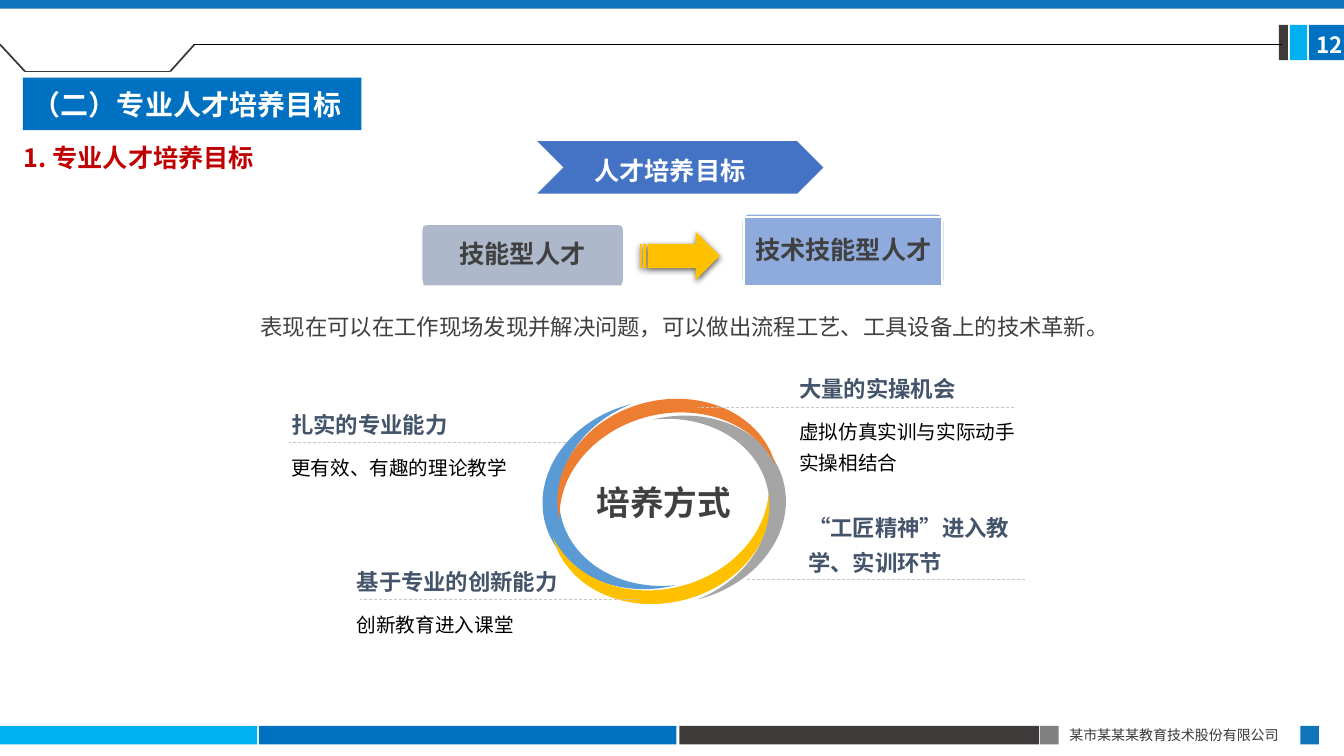
from lxml import etree
from pptx import Presentation
from pptx.dml.color import RGBColor
from pptx.enum import dml, shapes, text
from pptx.oxml import ns
from pptx.util import Cm, Pt

HUES = {
    "sky": "00B0F0", "blue": "0070C0", "steel": "1074BB", "dark": "3E3A39",
    "gray": "808080", "white": "FFFFFF", "black": "000000", "text": "404040",
    "slate": "ADB9CA", "pale": "8FAADC", "royal": "4472C4", "gold": "FFC000",
    "azure": "5B9BD5", "silver": "A5A5A5", "orange": "ED7D31",
    "dash": "C5C5C5", "navy": "44546A", "red": "C00000",
}
SANS = "Noto Sans CJK SC"
KIND = shapes.MSO_SHAPE
MID = text.MSO_ANCHOR.MIDDLE
LOW = text.MSO_ANCHOR.BOTTOM
CENTER = text.PP_ALIGN.CENTER

deck = Presentation()
deck.slide_width, deck.slide_height = Cm(33.87), Cm(19.05)
slide = deck.slides.add_slide(deck.slide_layouts[6])


def draw(kind, box, hue, edge=None):
    """Add a filled preset shape; box is left, top, width, height in cm."""
    item = slide.shapes.add_shape(kind, *map(Cm, box))
    item.shadow.inherit = False
    item.fill.solid()
    item.fill.fore_color.rgb = RGBColor.from_string(HUES[hue])
    if edge:
        item.line.color.rgb = RGBColor.from_string(HUES[edge])
        item.line.width = Pt(1.5)
    else:
        item.line.fill.background()
    return item


def write(words, size, hue, box=None, item=None, bold=False, face=SANS,
          align=text.PP_ALIGN.LEFT, anchor=text.MSO_ANCHOR.TOP, space=None):
    """Put one paragraph into item, or into a new text box."""
    item = item or slide.shapes.add_textbox(*map(Cm, box))
    frame = item.text_frame
    frame.word_wrap = True
    frame.vertical_anchor = anchor
    para = frame.paragraphs[0]
    para.text = words
    para.alignment = align
    para.line_spacing = space
    font = para.font
    font.name, font.size, font.bold = face, Pt(size), bold
    font.color.rgb = RGBColor.from_string(HUES[hue])
    props = para._p.pPr.find(ns.qn("a:defRPr"))
    etree.SubElement(props, ns.qn("a:ea"), typeface=SANS)
    return para


# Bars at the top, the foot and behind the page number
for left, top, width, height, hue in [
    (0, 18.29, 6.48, 0.47, "sky"),
    (6.53, 18.29, 10.52, 0.47, "blue"),
    (17.12, 18.29, 9.07, 0.47, "dark"),
    (26.21, 18.29, 0.47, 0.47, "gray"),
    (32.77, 18.29, 0.47, 0.47, "steel"),
    (32.99, 0.63, 0.88, 0.89, "blue"),
    (32.51, 0.63, 0.43, 0.89, "sky"),
    (32.23, 0.63, 0.23, 0.89, "dark"),
    (0, 0, 33.87, 0.22, "steel"),
]:
    draw(KIND.RECTANGLE, (left, top, width, height), hue)
write("某市某某某教育技术股份有限公司", 10, "dark", (26.7, 18.19, 6.1, 0.68))

# Lines: the header outline, then the dashed rules of the topics
dip = [(0, 1.12), (0.63, 1.8), (4.29, 1.8), (4.9, 1.12), (32.3, 1.12)]
rules = [(*a, *b, "dark", 1.25) for a, b in zip(dip[:3], dip[1:4])]
rules.append((*dip[3], *dip[4], "black", 0.5))
for start, end, top in [(14.27, 7.29, 11.15), (16.05, 9.07, 15.11),
                        (25.55, 17.6, 10.26), (25.83, 18.82, 14.6)]:
    rules.append((start, top, end, top, "dash", 0.5))

# Ring of four moons, each a quarter turn from the one before
for turn, hue, box in [
    (345.9, "azure", (13.69, 10.46, 2.82, 4.7)),
    (255.9, "gold", (15.77, 11.18, 2.34, 5.61)),
    (165.9, "silver", (16.97, 10.16, 2.82, 4.67)),
    (75.9, "orange", (15.37, 8.48, 2.34, 5.61)),
]:
    moon = draw(KIND.MOON, box, hue)
    moon.adjustments[0] = 0.152
    moon.rotation = turn
write("培养方式", 24, "text", (14.66, 10.82, 4.14, 3.68), bold=True,
      align=CENTER, anchor=MID)

for x1, y1, x2, y2, hue, width in rules:
    rule = slide.shapes.add_connector(
        shapes.MSO_CONNECTOR.STRAIGHT, Cm(x1), Cm(y1), Cm(x2), Cm(y2))
    rule.line.color.rgb = RGBColor.from_string(HUES[hue])
    rule.line.width = Pt(width)
    if hue == "dash":
        rule.line.dash_style = dml.MSO_LINE.DASH
    etree.SubElement(rule._element.spPr, ns.qn("a:effectLst"))

# Topics: a heading above its rule, details below
for left, top, head, body in [
    (19.89, 8.99, "大量的实操机会", "虚拟仿真实训与实际动手实操相结合"),
    (20.12, 13.36, "“工匠精神”进入教学、实训环节", None),
    (7.09, 9.88, "扎实的专业能力", "更有效、有趣的理论教学"),
    (8.74, 13.84, "基于专业的创新能力", "创新教育进入课堂"),
]:
    para = write(head, 16, "navy", (left, top, 5.99, 1.27), bold=True,
                 anchor=LOW, space=1.3)
    para.space_after = Pt(6)
    if body:
        write(body, 14, "black", (left, top + 1.3, 5.99, 2.1), space=1.3)

# Two kinds of talent with an arrow between them
for words, hue, edge, outer, inner in [
    ("技能型人才", "slate", None,
     (10.62, 5.64, 5.11, 1.57), (10.67, 5.69, 5, 1.5)),
    ("技术技能型人才", "pale", "white",
     (18.69, 5.38, 5.11, 1.88), (18.75, 5.46, 5, 1.75)),
]:
    draw(KIND.ROUNDED_RECTANGLE, outer, hue, "white").adjustments[0] = 0.1
    card = draw(KIND.RECTANGLE, inner, hue, edge)
    frame = card.text_frame
    frame.margin_left = frame.margin_right = Cm(0.1)
    frame.margin_top = frame.margin_bottom = Cm(0.08)
    write(words, 18, "text", item=card, bold=True, align=CENTER, anchor=MID,
          space=0.9)

arrow = draw(KIND.STRIPED_RIGHT_ARROW, (16.13, 5.84, 2.01, 1.22), "gold")
glow = etree.SubElement(
    arrow._element.spPr.find(ns.qn("a:effectLst")), ns.qn("a:outerShdw"),
    blurRad=str(Pt(4.5)), dist=str(Pt(1.5)), dir="5400000", rotWithShape="0")
shade = etree.SubElement(glow, ns.qn("a:srgbClr"), val=HUES["black"])
etree.SubElement(shade, ns.qn("a:alpha"), val="63000")

write("表现在可以在工作现场发现并解决问题，可以做出流程工艺、工具设备上的技术革新。",
      16, "text", (6.32, 7.42, 22.53, 1.17), space=1.5)

# Headings and page number
draw(KIND.CHEVRON, (13.54, 3.56, 7.21, 1.32), "royal")
goal = draw(KIND.RECTANGLE, (14.73, 3.56, 4.8, 1.17), "royal")
write("人才培养目标", 18, "white", item=goal, bold=True, space=1.3)
write("12", 16, "white", (32.92, 0.66, 1.27, 0.69), bold=True)
banner = draw(KIND.RECTANGLE, (0.58, 1.96, 8.53, 1.32), "blue")
write("（二）专业人才培养目标", 20, "white", item=banner, bold=True,
      face="Calibri", anchor=MID)
para = write("1. 专业人才培养目标", 18, "red", (-0.64, 3.07, 9.35, 1.42),
             bold=True, space=1.5)
para._p.pPr.set("indent", str(Cm(0.99)))

deck.save("out.pptx")
